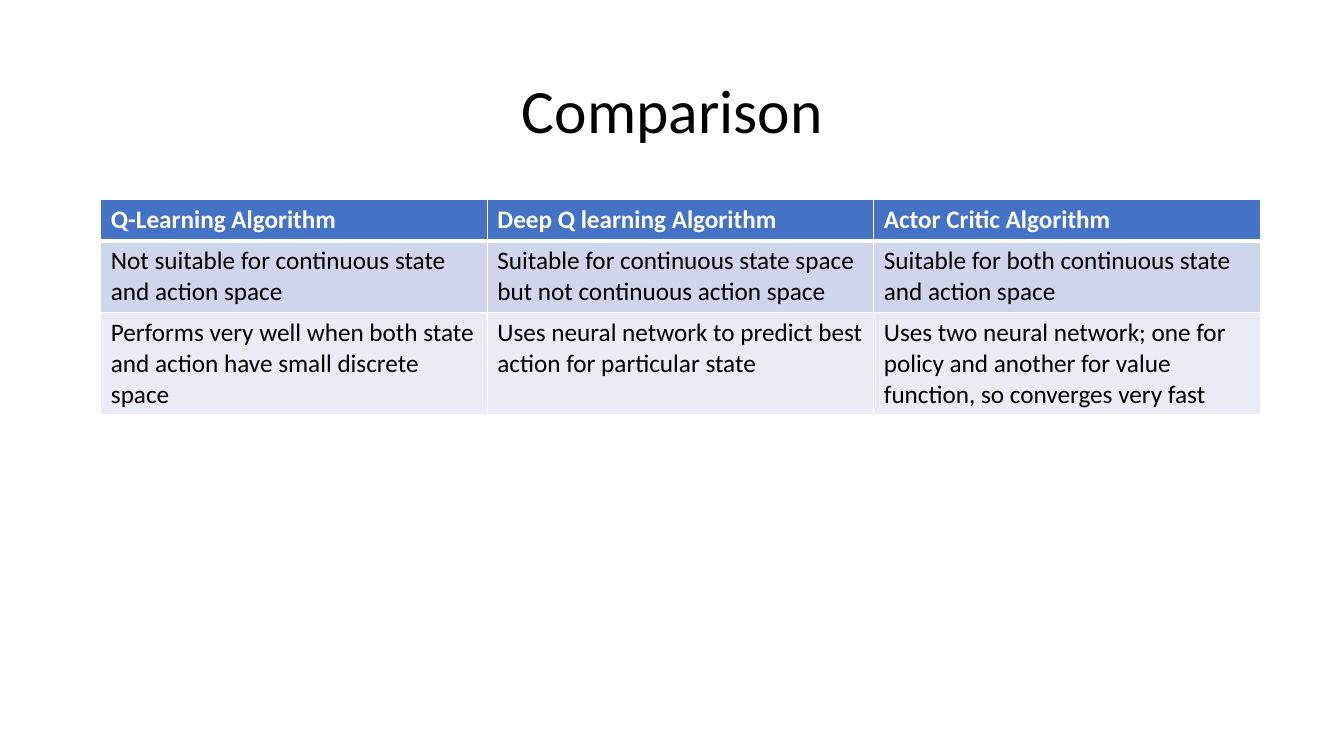
from lxml import etree
from pptx import Presentation
from pptx.dml.color import RGBColor
from pptx.enum.text import MSO_ANCHOR, PP_ALIGN
from pptx.oxml.ns import qn
from pptx.util import Pt

PX = 9144  # 100 px to the inch
FONT = "Calibri"
WHITE, BLACK = "FFFFFF", "000000"
FILLS = ["4472C4", "CFD5EA", "E9EBF5"]
HEIGHTS = [41, 70, 100]
CENTER = PP_ALIGN.CENTER
MIDDLE = MSO_ANCHOR.MIDDLE

ROWS = [
    ["Q-Learning Algorithm", "Deep Q learning Algorithm", "Actor Critic Algorithm"],
    ["Not suitable for continuous state and action space",
     "Suitable for continuous state space but not continuous action space",
     "Suitable for both continuous state and action space"],
    ["Performs very well when both state and action have small discrete space",
     "Uses neural network to predict best action for particular state",
     "Uses two neural network; one for policy and another for value function, "
     "so converges very fast"],
]


def px(n):
    return n * PX


def color(code):
    return RGBColor.from_string(code)


def add_run(para, text, size, code, bold=False):
    run = para.add_run()
    run.text = text
    font = run.font
    font.name, font.size, font.bold = FONT, Pt(size), bold
    font.color.rgb = color(code)


def add_title(slide, text):
    title = slide.shapes.title
    title.left, title.top, title.width, title.height = map(px, (92, 40, 1150, 145))
    frame = title.text_frame
    frame.word_wrap = True
    frame.vertical_anchor = MIDDLE
    para = frame.paragraphs[0]
    para.alignment = CENTER
    para.line_spacing = 0.9
    add_run(para, text, 44, BLACK)


def add_edge(cell, side, width):
    props = cell._tc.get_or_add_tcPr()
    line = etree.SubElement(props, qn(f"a:ln{side}"), w=str(Pt(width)))
    fill = etree.SubElement(line, qn("a:solidFill"))
    etree.SubElement(fill, qn("a:srgbClr"), val=WHITE)


def fill_cell(cell, text, row):
    head = row == 0
    edges = {"L": 1, "R": 1, "T": 3 if row == 1 else 1, "B": 3 if head else 1}
    for side, width in edges.items():
        add_edge(cell, side, width)
    cell.fill.solid()
    cell.fill.fore_color.rgb = color(FILLS[row])
    add_run(cell.text_frame.paragraphs[0], text, 18, WHITE if head else BLACK, head)


def add_grid(slide, rows):
    frame = slide.shapes.add_table(
        len(rows), len(rows[0]), px(100), px(198), px(1150), px(sum(HEIGHTS)))
    table = frame.table
    for r, texts in enumerate(rows):
        table.rows[r].height = px(HEIGHTS[r])
        for c, text in enumerate(texts):
            fill_cell(table.cell(r, c), text, r)


def main():
    deck = Presentation()
    deck.slide_width, deck.slide_height = px(1333), px(750)
    slide = deck.slides.add_slide(deck.slide_layouts[5])
    add_title(slide, "Comparison")
    add_grid(slide, ROWS)
    deck.save("out.pptx")


if __name__ == "__main__":
    main()
